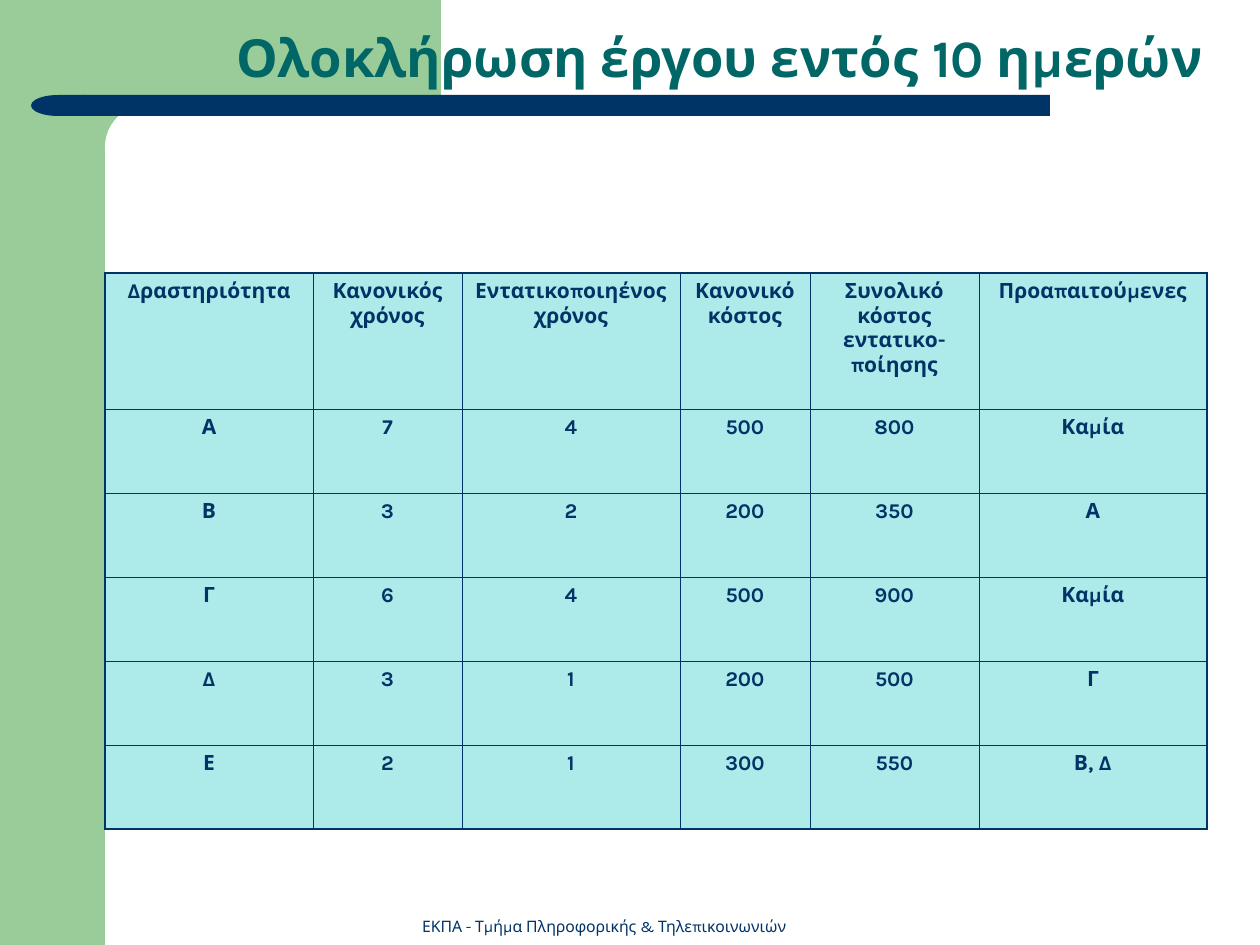
from dataclasses import dataclass

from lxml.etree import SubElement
from pptx import Presentation
from pptx.dml.color import RGBColor
from pptx.enum.shapes import MSO_SHAPE as Shape
from pptx.enum.text import MSO_ANCHOR as Anchor, PP_ALIGN as Align
from pptx.oxml.ns import qn
from pptx.util import Emu, Pt

PX_PER_INCH = 126


def px(length):
    return Emu(round(length * 914400 / PX_PER_INCH))


@dataclass(frozen=True)
class Theme:
    font: str = "Karla"
    green: str = "99CC99"
    white: str = "FFFFFF"
    navy: str = "003366"
    teal: str = "006666"
    cell: str = "ADEBEB"
    title_size: int = 30
    table_size: int = 12
    footer_size: int = 9
    outer_line: float = 1.08
    inner_line: float = 0.45


class SlideBuilder:
    def __init__(self, page, theme):
        self.page = page
        self.theme = theme

    def shape(self, kind, box, color, corner=None, flipped=False):
        shape = self.page.shapes.add_shape(kind, *map(px, box))
        shape.shadow.inherit = False
        shape.fill.solid()
        shape.fill.fore_color.rgb = RGBColor.from_string(color)
        shape.line.fill.background()
        if corner is not None:
            shape.adjustments[0] = corner
        if flipped:
            shape.element.spPr.get_or_add_xfrm().set("flipH", "1")

    def style(self, paragraph, size, color, bold, align):
        paragraph.alignment = align
        for span in paragraph.runs:
            span.font.name = self.theme.font
            span.font.size = Pt(size)
            span.font.bold = bold
            span.font.color.rgb = RGBColor.from_string(color)

    def text(self, text, box, size, color, bold=False, align=Align.CENTER, spacing=None):
        frame = self.page.shapes.add_textbox(*map(px, box)).text_frame
        frame.word_wrap = True
        frame.vertical_anchor = Anchor.BOTTOM
        frame.text = text
        paragraph = frame.paragraphs[0]
        self.style(paragraph, size, color, bold, align)
        if spacing:
            paragraph.line_spacing = spacing

    def border(self, cell, side, width):
        line = SubElement(cell._tc.get_or_add_tcPr(), qn(f"a:ln{side}"), w=str(Pt(width)))
        fill = SubElement(line, qn("a:solidFill"))
        SubElement(fill, qn("a:srgbClr"), val=self.theme.navy)

    def table(self, rows, left, top, widths, heights):
        theme = self.theme
        size = map(px, (left, top, sum(widths), sum(heights)))
        table = self.page.shapes.add_table(len(rows), len(widths), *size).table
        for column, width in zip(table.columns, widths):
            column.width = px(width)
        for row, height in zip(table.rows, heights):
            row.height = px(height)
        last_row, last_column = len(rows) - 1, len(widths) - 1
        for r, values in enumerate(rows):
            for c, value in enumerate(values):
                cell = table.cell(r, c)
                cell.text = value
                self.style(cell.text_frame.paragraphs[0], theme.table_size,
                           theme.navy, True, Align.CENTER)
                outer = {"L": c == 0, "R": c == last_column, "T": r == 0, "B": r == last_row}
                for side, is_outer in outer.items():
                    self.border(cell, side, theme.outer_line if is_outer else theme.inner_line)
                cell.fill.solid()
                cell.fill.fore_color.rgb = RGBColor.from_string(theme.cell)


ACTIVITIES = [
    ("Δραστηριότητα", "Κανονικός χρόνος", "Εντατικοποιηένος χρόνος",
     "Κανονικό κόστος", "Συνολικό κόστος εντατικο-ποίησης", "Προαπαιτούμενες"),
    ("Α", "7", "4", "500", "800", "Καμία"),
    ("Β", "3", "2", "200", "350", "Α"),
    ("Γ", "6", "4", "500", "900", "Καμία"),
    ("Δ", "3", "1", "200", "500", "Γ"),
    ("Ε", "2", "1", "300", "550", "Β, Δ"),
]


def main():
    deck = Presentation()
    deck.slide_width, deck.slide_height = px(1260), px(945)
    theme = Theme()
    slide = SlideBuilder(deck.slides.add_slide(deck.slide_layouts[6]), theme)

    slide.shape(Shape.RECTANGLE, (0, 0, 105, 945), theme.green)
    slide.shape(Shape.RECTANGLE, (94, 0, 347, 147), theme.green)
    slide.shape(Shape.ROUNDED_RECTANGLE, (105, 105, 703, 84), theme.white, corner=0.5)
    slide.shape(Shape.ROUNDED_RECTANGLE, (84, 95, 966, 21), theme.navy, corner=0)
    slide.shape(Shape.FLOWCHART_DELAY, (31, 95, 54, 21), theme.navy, flipped=True)

    slide.text("ΕΚΠΑ - Τμήμα Πληροφορικής & Τηλεπικοινωνιών", (404, 910, 400, 32),
               theme.footer_size, theme.navy)
    slide.text("Ολοκλήρωση έργου εντός 10 ημερών ", (42, 32, 1187, 63),
               theme.title_size, theme.teal, bold=True, align=Align.RIGHT, spacing=0.9)
    slide.table(ACTIVITIES, 105, 273, widths=(208, 149, 218, 130, 169, 228),
                heights=[136] + [84] * 5)

    deck.save("out.pptx")


if __name__ == "__main__":
    main()
